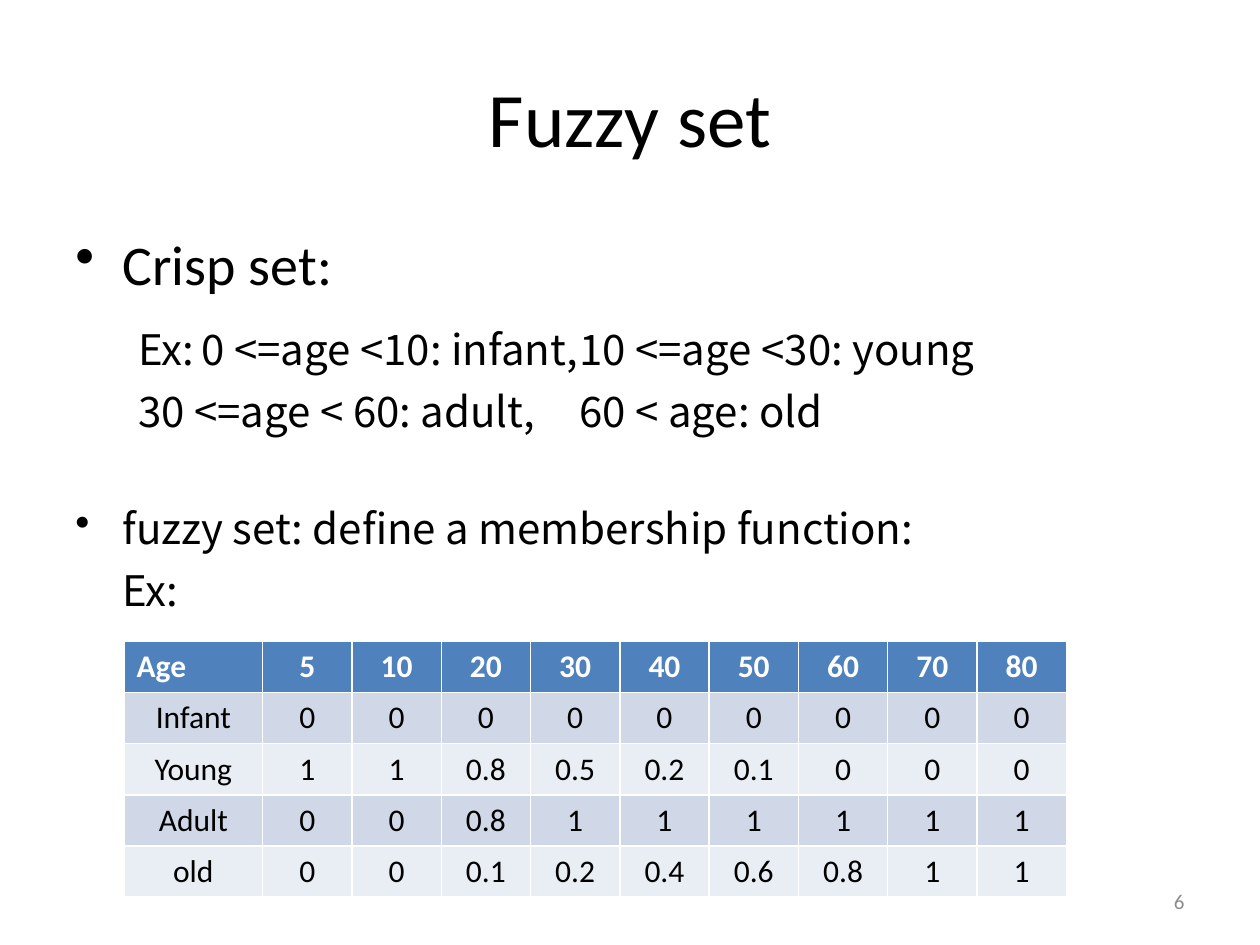
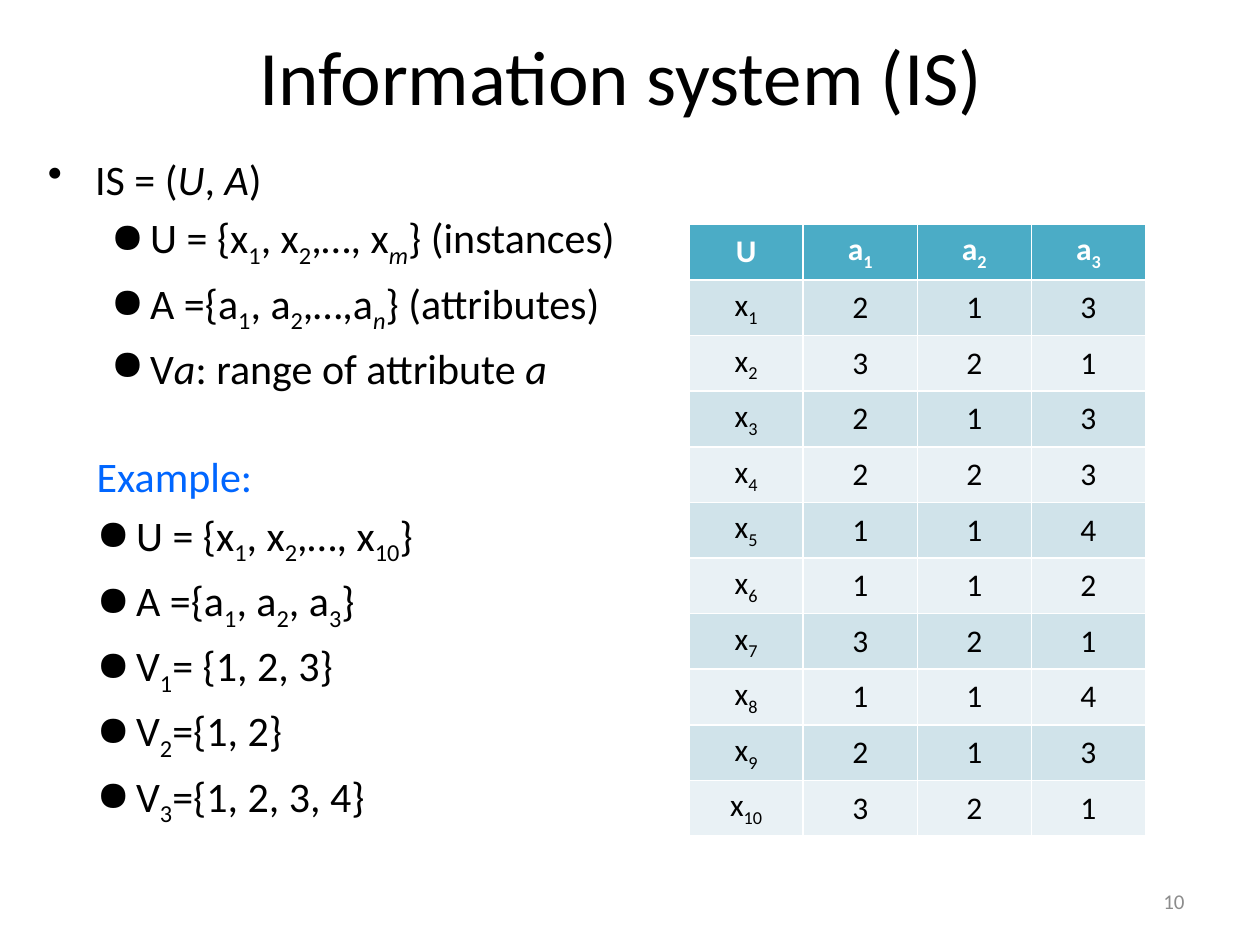
from lxml.etree import SubElement as Sub
from pptx import Presentation
from pptx.dml.color import RGBColor
from pptx.enum.text import MSO_ANCHOR as Anchor, PP_ALIGN as Align
from pptx.oxml.ns import qn
from pptx.util import Pt

# Shared look
MAIN, WIDE = "Calibri", "Noto Sans CJK SC"
BLACK, WHITE, GREY, LINK = "000000", "FFFFFF", "8C8C8C", "0066FF"
BLUE = ("4F81BD", "D0D8E8", "E9EDF4")  # head, odd rows, even rows
TEAL = ("4BACC6", "D0E3EA", "E9F1F5")
DOT, DISC = "•", "●"


def paint(target, color):
    """Give a font or a fill one solid colour."""
    if hasattr(target, "solid"):
        target.solid()
        target.fore_color.rgb = RGBColor.from_string(color)
    else:
        target.color.rgb = RGBColor.from_string(color)


def write(par, text, size, color=BLACK, font=MAIN, bold=False):
    """Add runs split at |; a leading _ lowers a run, / slants it."""
    for part in text.split("|"):
        run = par.add_run()
        low = part.startswith("_")
        part = part[low:]
        slant = part.startswith("/")
        run.text = part[slant:]
        look = {"size": Pt(size), "name": font, "bold": bold, "italic": slant}
        for name, value in look.items():
            setattr(run.font, name, value)
        paint(run.font, color)
        if low:
            run._r.get_or_add_rPr().set("baseline", "-25000")


def indent(par, left, hang, mark=None, tabs=()):
    """Set the margin, the bullet and the tab stops of a paragraph."""
    props = par._p.get_or_add_pPr()
    props.set("marL", str(Pt(left)))
    props.set("indent", str(-Pt(hang)))
    if mark:
        Sub(props, qn("a:buChar"), char=mark)
    else:
        Sub(props, qn("a:buNone"))
    if tabs:
        stops = Sub(props, qn("a:tabLst"))
        for stop in tabs:
            Sub(stops, qn("a:tab"), pos=str(Pt(stop)), algn="l")


def add_box(slide, box, anchor=Anchor.TOP):
    frame = slide.shapes.add_textbox(*map(Pt, box)).text_frame
    look = {"word_wrap": True, "vertical_anchor": anchor, "margin_top": Pt(5)}
    for name, value in look.items():
        setattr(frame, name, value)
    return frame


def add_list(slide, box, items):
    """Each item: text, run format, indent, paragraph format."""
    frame = add_box(slide, box)
    for i, (text, look, place, gaps) in enumerate(items):
        par = frame.add_paragraph() if i else frame.paragraphs[0]
        indent(par, **place)
        for name, value in gaps.items():
            setattr(par, name, Pt(value))
        write(par, text, **look)


def add_grid(slide, box, rows, widths, shades, anchor, first=Align.CENTER):
    """Draw a table with a dark head and banded rows."""
    grid = slide.shapes.add_table(len(rows), len(widths), *map(Pt, box)).table
    for col, width in zip(grid.columns, widths):
        col.width = Pt(width)
    for r, row in enumerate(rows):
        grid.rows[r].height = Pt(box[3] / len(rows))
        shade = shades[2 - r % 2] if r else shades[0]
        for c, text in enumerate(row):
            cell = grid.cell(r, c)
            cell.vertical_anchor = anchor
            paint(cell.fill, shade)
            par = cell.text_frame.paragraphs[0]
            par.alignment = first if r == c == 0 else Align.CENTER
            write(par, text, 18, BLACK if r else WHITE, bold=r == 0)


def add_page(deck, title, left, top, number):
    """Start a slide with its title and page number."""
    slide = deck.slides.add_slide(deck.slide_layouts[5])
    head = slide.shapes.title
    box = {"left": left, "top": top, "width": 648, "height": 90}
    for name, value in box.items():
        setattr(head, name, Pt(value))
    head.text_frame.vertical_anchor = Anchor.MIDDLE
    par = head.text_frame.paragraphs[0]
    par.alignment = Align.CENTER
    write(par, title, 44)
    foot = add_box(slide, (516, 500.5, 168, 28.8), Anchor.MIDDLE)
    foot.margin_top = foot.margin_bottom
    foot.paragraphs[0].alignment = Align.RIGHT
    write(foot.paragraphs[0], number, 12, GREY)
    return slide


def fuzzy(deck):
    slide = add_page(deck, "Fuzzy set", 36, 21.6, "6")
    # Definitions
    wide = {"size": 24, "font": WIDE}
    point = {"left": 27, "hang": 27, "mark": DOT}

    def gap(before):
        return {"line_spacing": 35.4, "space_before": before}

    add_list(slide, (36, 126, 648, 356), [
        ("Crisp set:", {"size": 32}, point, {}),
        ("\tEx:\t0 <=age <10: infant,\t10 <=age <30: young", wide,
         {"left": 0, "hang": 0, "tabs": (27, 86, 313)}, gap(9)),
        ("\t30 <=age < 60: adult,\t60 < age: old", wide,
         {"left": 0, "hang": 0, "tabs": (64, 308)}, gap(0)),
        ("fuzzy set: define a membership function:", wide, point, gap(31.5)),
        ("Ex:", wide, {"left": 27, "hang": 0}, gap(0)),
    ])
    # Membership by age
    rows = [line.split() for line in (
        "Age 5 10 20 30 40 50 60 70 80",
        "Infant 0 0 0 0 0 0 0 0 0",
        "Young 1 1 0.8 0.5 0.2 0.1 0 0 0",
        "Adult 0 0 0.8 1 1 1 1 1 1",
        "old 0 0 0.1 0.2 0.4 0.6 0.8 1 1")]
    add_grid(slide, (70.9, 366.6, 538.5, 146), rows, [79.2] + [51.03] * 9,
             BLUE, Anchor.TOP, Align.LEFT)


def system(deck):
    slide = add_page(deck, "Information system (IS)", 31, -2.2, "10")
    text, gap = {"size": 24}, {"space_before": 4.5}
    # Definition
    inner = {"left": 58.5, "hang": 22.5, "mark": DISC}
    parts = ("U = {x|_1|, x|_2|,…, x|_/m|} (instances)",
             "A ={a|_1|, a|_2|,…,a|_/n|} (attributes)",
             "V|/a|: range of attribute |/a")
    add_list(slide, (20.2, 82.8, 351.4, 158.4),
             [("IS = (|/U|, |/A|)", text,
               {"left": 27, "hang": 27, "mark": DOT}, {})]
             + [(part, text, inner, gap) for part in parts])
    # Instances
    values = "213 321 213 223 114 112 321 114 213 321".split()
    rows = [["U"] + [f"a|_{n}" for n in (1, 2, 3)]]
    rows += [[f"x|_{n}", *row] for n, row in enumerate(values, 1)]
    add_grid(slide, (393.8, 128.2, 260.8, 347.6), rows, [65.2] * 4,
             TEAL, Anchor.MIDDLE)
    # Example
    outer = {"left": 22.5, "hang": 22.5, "mark": DISC}
    facts = ("U = {x|_1|, x|_2|,…, x|_10|}", "A ={a|_1|, a|_2|, a|_3|}",
             "V|_1|= {1, 2, 3}", "V|_2|={1, 2}", "V|_3|={1, 2, 3, 4}")
    add_list(slide, (48.2, 252.7, 351.4, 209.5),
             [("Example:", {"size": 24, "color": LINK},
               {"left": 0, "hang": 0}, {})]
             + [(fact, text, outer, gap) for fact in facts])


def main():
    deck = Presentation()
    deck.slide_width, deck.slide_height = Pt(720), Pt(540)
    fuzzy(deck)
    system(deck)
    deck.save("out.pptx")


if __name__ == "__main__":
    main()
